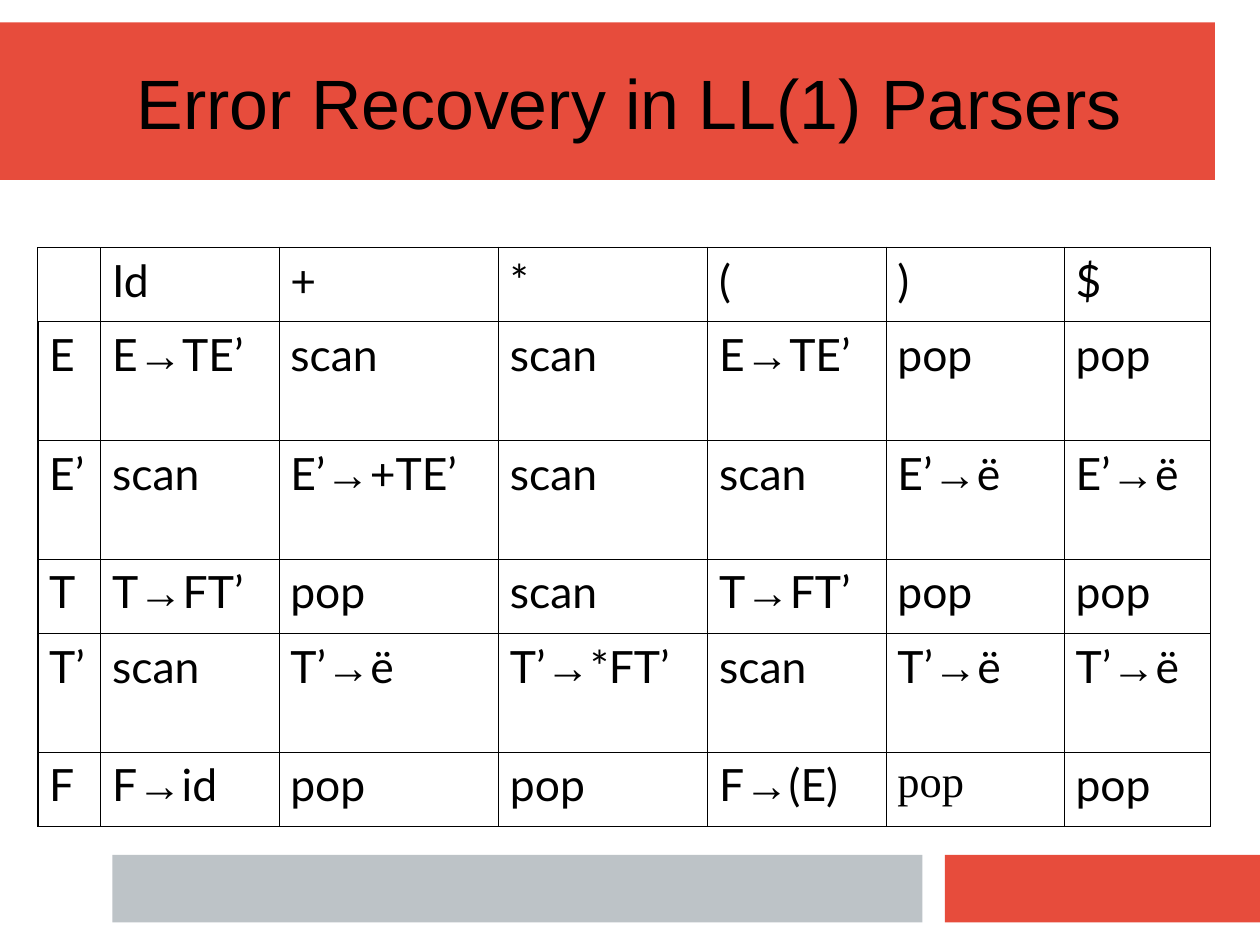
from lxml import etree
from pptx import Presentation
from pptx.dml.color import RGBColor
from pptx.enum.shapes import MSO_SHAPE
from pptx.enum.text import MSO_ANCHOR, MSO_AUTO_SIZE, PP_ALIGN
from pptx.oxml.ns import qn
from pptx.util import Cm, Pt

RECT = MSO_SHAPE.RECTANGLE
MIDDLE = MSO_ANCHOR.MIDDLE
FIXED = MSO_AUTO_SIZE.NONE
LEFT, CENTER = PP_ALIGN.LEFT, PP_ALIGN.CENTER

RED, GREY, BLACK = "E74C3C", "BDC3C7", "000000"
THIN, THICK = 0.45, 1.08
SHORT, TALL = 1.65, 2.64
COLS = [1.4, 3.96, 4.88, 4.65, 3.96, 3.96, 3.25]
ROWS = [SHORT, TALL, TALL, SHORT, TALL, SHORT]
PARSE = [
    ["", "Id", "+", "*", "(", ")", "$"],
    ["E", "E→TE’", "scan", "scan", "E→TE’", "pop", "pop"],
    ["E’", "scan", "E’→+TE’", "scan", "scan", "E’→ë", "E’→ë"],
    ["T", "T→FT’", "pop", "scan", "T→FT’", "pop", "pop"],
    ["T’", "scan", "T’→ë", "T’→*FT’", "scan", "T’→ë", "T’→ë"],
    ["F", "F→id", "pop", "pop", "F→(E)", "pop", "pop"],
]
SERIF = (5, 5)


def rgb(code):
    """Turn a hex string into a colour."""
    return RGBColor.from_string(code)


def add_run(para, text, font, size):
    """Add one black run to a paragraph."""
    run = para.add_run()
    run.text = text
    run.font.name = font
    run.font.size = Pt(size)
    run.font.color.rgb = rgb(BLACK)


def add_bar(slide, box, code):
    """Draw a plain colour bar in the box."""
    bar = slide.shapes.add_shape(RECT, *map(Cm, box))
    bar.shadow.inherit = False
    bar.fill.solid()
    bar.fill.fore_color.rgb = rgb(code)
    bar.line.fill.background()


def set_title(slide, box, text):
    """Place the title in the box, in front of the bars."""
    title = slide.shapes.title
    title.left, title.top, title.width, title.height = map(Cm, box)
    title.element.getparent().append(title.element)
    frame = title.text_frame
    frame.margin_left = frame.margin_right = 0
    frame.margin_top = frame.margin_bottom = 0
    frame.word_wrap = True
    frame.auto_size = FIXED
    frame.vertical_anchor = MIDDLE
    para = frame.paragraphs[0]
    para.alignment = CENTER
    add_run(para, text, "Arial", 44)


def set_edges(cell, widths):
    """Draw the left, right, top and bottom borders of a cell."""
    props = cell._tc.get_or_add_tcPr()
    for side, width in zip("LRTB", widths):
        line = etree.SubElement(props, qn(f"a:ln{side}"), w=str(Pt(width)))
        fill = etree.SubElement(line, qn("a:solidFill"))
        etree.SubElement(fill, qn("a:srgbClr"), val=BLACK)


def fill_cell(cell, text, font):
    """Write a grammar entry, with its arrow in Arial."""
    para = cell.text_frame.paragraphs[0]
    para.alignment = LEFT
    para.space_before = Pt(7)
    head, arrow, tail = text.partition("→")
    for part, face in ((head, font), (arrow, "Arial"), (tail, font)):
        if part:
            add_run(para, part, face, 28)


def add_grid(slide, left, top):
    """Build the parse table from its top left corner."""
    size = Cm(sum(COLS)), Cm(sum(ROWS))
    frame = slide.shapes.add_table(len(ROWS), len(COLS), Cm(left), Cm(top), *size)
    table = frame.table
    table.first_row = table.horz_banding = False
    for col, width in zip(table.columns, COLS):
        col.width = Cm(width)
    for row, height in zip(table.rows, ROWS):
        row.height = Cm(height)
    for r, line in enumerate(PARSE):
        for c, text in enumerate(line):
            cell = table.cell(r, c)
            outer = (c == 0 and r > 0, c == len(COLS) - 1,
                     r == 0 and c > 0, r == len(ROWS) - 1)
            set_edges(cell, [THICK if edge else THIN for edge in outer])
            cell.fill.background()
            font = "Times New Roman" if (r, c) == SERIF else "Lato"
            fill_cell(cell, text, font)


def main():
    """Build and save the slide."""
    deck = Presentation()
    deck.slide_width, deck.slide_height = Cm(28), Cm(21)
    slide = deck.slides.add_slide(deck.slide_layouts.get_by_name("Title Only"))
    add_bar(slide, (0, 0.5, 27, 3.5), RED)
    add_bar(slide, (21, 19, 7, 1.5), RED)
    add_bar(slide, (2.5, 19, 18, 1.5), GREY)
    set_title(slide, (1, 1, 26, 2.5), "Error Recovery in LL(1) Parsers")
    add_grid(slide, 0.84, 5.5)
    deck.save("out.pptx")


if __name__ == "__main__":
    main()
